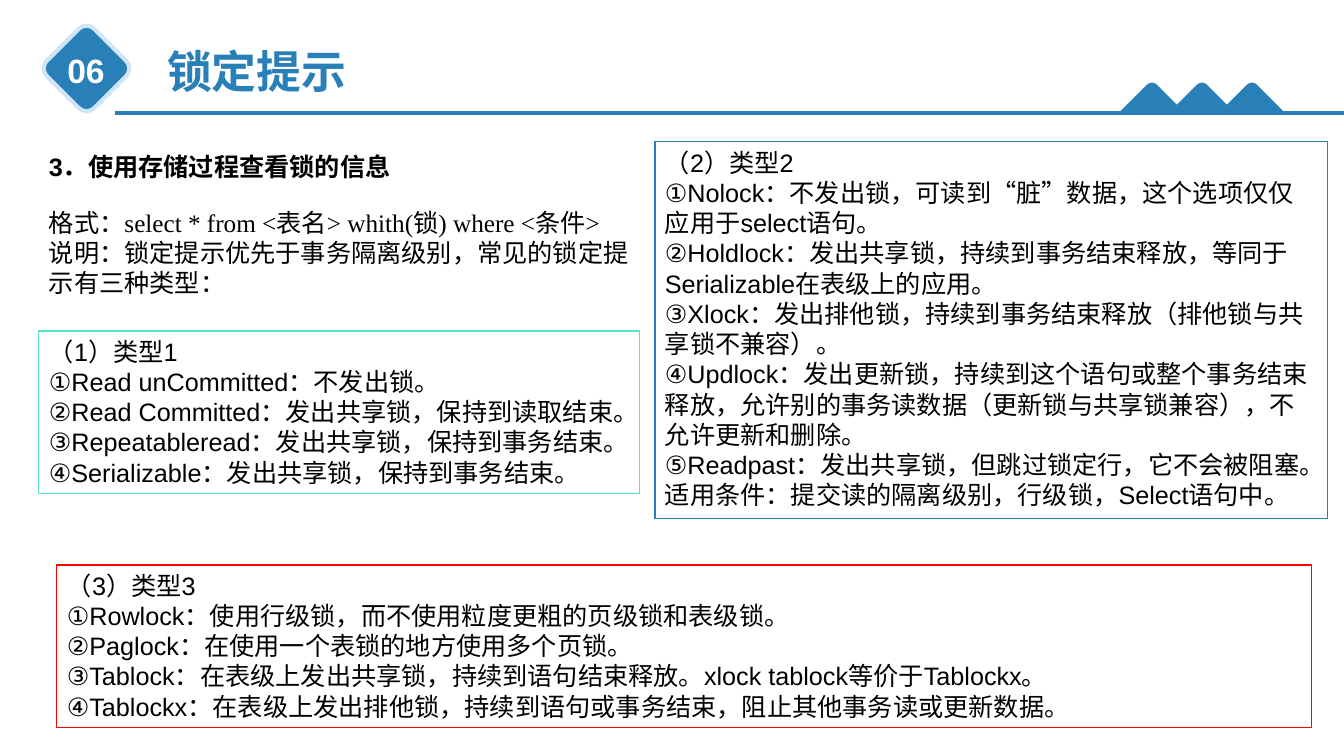
"""Build the slide on lock hints."""
from dataclasses import dataclass

from lxml import etree
from pptx import Presentation
from pptx import util as u
from pptx.dml.color import RGBColor
from pptx.enum import shapes, text
from pptx.oxml.ns import qn

PX = 12192000 / 1344


@dataclass(frozen=True)
class Theme:
    """Colours, fonts and type sizes of the slide."""

    blue: str = "2980B9"
    pale: str = "D1E6F5"
    teal: str = "52E7CA"
    red: str = "FF0000"
    ink: str = "000000"
    white: str = "FFFFFF"
    sans: str = "Arial"
    serif: str = "Times New Roman"
    title: int = 32
    number: int = 24
    body: int = 18


THEME = Theme()

INTRO = [
    "格式：select * from <表名> whith(锁) where <条件>",
    "说明：锁定提示优先于事务隔离级别，常见的锁定提示有三种类型：",
]
TYPE_1 = [
    "（1）类型1",
    "①Read unCommitted：不发出锁。",
    "②Read Committed：发出共享锁，保持到读取结束。",
    "③Repeatableread：发出共享锁，保持到事务结束。",
    "④Serializable：发出共享锁，保持到事务结束。",
]
TYPE_2 = [
    "（2）类型2",
    "①Nolock：不发出锁，可读到“脏”数据，这个选项仅仅应用于select语句。",
    "②Holdlock：发出共享锁，持续到事务结束释放，等同于Serializable在表级上的应用。",
    "③Xlock：发出排他锁，持续到事务结束释放（排他锁与共享锁不兼容）。",
    "④Updlock：发出更新锁，持续到这个语句或整个事务结束释放，"
    "允许别的事务读数据（更新锁与共享锁兼容），不允许更新和删除。",
    "⑤Readpast：发出共享锁，但跳过锁定行，它不会被阻塞。"
    "适用条件：提交读的隔离级别，行级锁，Select语句中。",
]
TYPE_3 = [
    "（3）类型3",
    "①Rowlock：使用行级锁，而不使用粒度更粗的页级锁和表级锁。",
    "②Paglock：在使用一个表锁的地方使用多个页锁。",
    "③Tablock：在表级上发出共享锁，持续到语句结束释放。xlock tablock等价于Tablockx。",
    "④Tablockx：在表级上发出排他锁，持续到语句或事务结束，阻止其他事务读或更新数据。",
]


def px(length):
    """Turn pixels into EMU."""
    return u.Emu(round(length * PX))


def rgb(colour):
    """Turn a hex string into a colour."""
    return RGBColor.from_string(colour)


def write(box, lines, size=THEME.body, colour=THEME.ink, font=THEME.sans,
          bold=False, align=text.PP_ALIGN.LEFT, wrap=True):
    """Fill a box with one paragraph per line."""
    frame = box.text_frame
    frame.word_wrap = wrap
    frame.auto_size = text.MSO_AUTO_SIZE.NONE
    frame.vertical_anchor = text.MSO_ANCHOR.TOP
    for index, line in enumerate(lines):
        para = frame.add_paragraph() if index else frame.paragraphs[0]
        para.alignment = align
        span = para.add_run()
        span.text = line
        span.font.size = u.Pt(size)
        span.font.name = font
        span.font.bold = bold
        span.font.color.rgb = rgb(colour)


def add_title(page, area, words):
    """Place and format the title placeholder."""
    box = page.shapes.title
    box.left, box.top, box.width, box.height = map(px, area)
    write(box, [words], THEME.title, THEME.blue, bold=True)


def add_text(page, area, lines, **style):
    """Add a plain text box."""
    write(page.shapes.add_textbox(*map(px, area)), lines, **style)


def add_panel(page, area, lines, colour):
    """Add an outlined rectangle holding text."""
    box = page.shapes.add_shape(shapes.MSO_SHAPE.RECTANGLE, *map(px, area))
    box.shadow.inherit = False
    box.fill.background()
    box.line.color.rgb = rgb(colour)
    box.line.width = u.Pt(0.75)
    write(box, lines)


def add_badge(page, area):
    """Add the rounded diamond behind the section number."""
    badge = page.shapes.add_shape(
        shapes.MSO_SHAPE.ROUNDED_RECTANGLE, *map(px, area))
    badge.rotation = 45
    badge.shadow.inherit = False
    badge.fill.solid()
    badge.fill.fore_color.rgb = rgb(THEME.blue)
    badge.line.color.rgb = rgb(THEME.pale)
    badge.line.width = u.Pt(3)


def add_rule(page, left, right, top):
    """Add the line under the title."""
    rule = page.shapes.add_connector(
        shapes.MSO_CONNECTOR.STRAIGHT, px(left), px(top), px(right), px(top))
    rule.line.color.rgb = rgb(THEME.blue)
    rule.line.width = u.Pt(2.25)
    etree.SubElement(rule._element.spPr, qn("a:effectLst"))


def add_peak(page, centre, base):
    """Add a hill with a rounded top, drawn in tenths of a pixel."""
    slope = [(333, 0), (60, 272), (45, 286), (32, 295), (16, 301)]
    outline = [(-x, y) for x, y in slope] + [(0, 303)] + slope[::-1]
    points = [(centre * 10 + x, base * 10 - y) for x, y in outline]
    builder = page.shapes.build_freeform(*points[0], scale=PX / 10)
    builder.add_line_segments(points[1:], close=True)
    peak = builder.convert_to_shape()
    peak.shadow.inherit = False
    peak.fill.solid()
    peak.fill.fore_color.rgb = rgb(THEME.blue)
    peak.line.fill.background()


def main():
    """Build and save the deck."""
    deck = Presentation()
    deck.slide_width, deck.slide_height = px(1344), px(756)
    page = deck.slides.add_slide(deck.slide_layouts[5])

    add_badge(page, (53, 35, 67, 67))
    add_rule(page, 115, 1344, 113)
    add_title(page, (157, 39, 210, 65), "锁定提示")
    add_text(page, (57, 45, 58, 50), ["06"], size=THEME.number,
             colour=THEME.white, bold=True, align=text.PP_ALIGN.CENTER,
             wrap=False)
    for index in range(3):
        add_peak(page, 1152 + 50 * index, 113)

    add_text(page, (39, 146, 365, 40), ["3．使用存储过程查看锁的信息"], bold=True)
    add_text(page, (39, 202, 616, 102), INTRO, font=THEME.serif)
    add_panel(page, (39, 331, 601, 163), TYPE_1, THEME.teal)
    add_panel(page, (655, 142, 673, 377), TYPE_2, THEME.blue)
    add_panel(page, (57, 565, 1255, 163), TYPE_3, THEME.red)
    deck.save("out.pptx")


if __name__ == "__main__":
    main()
